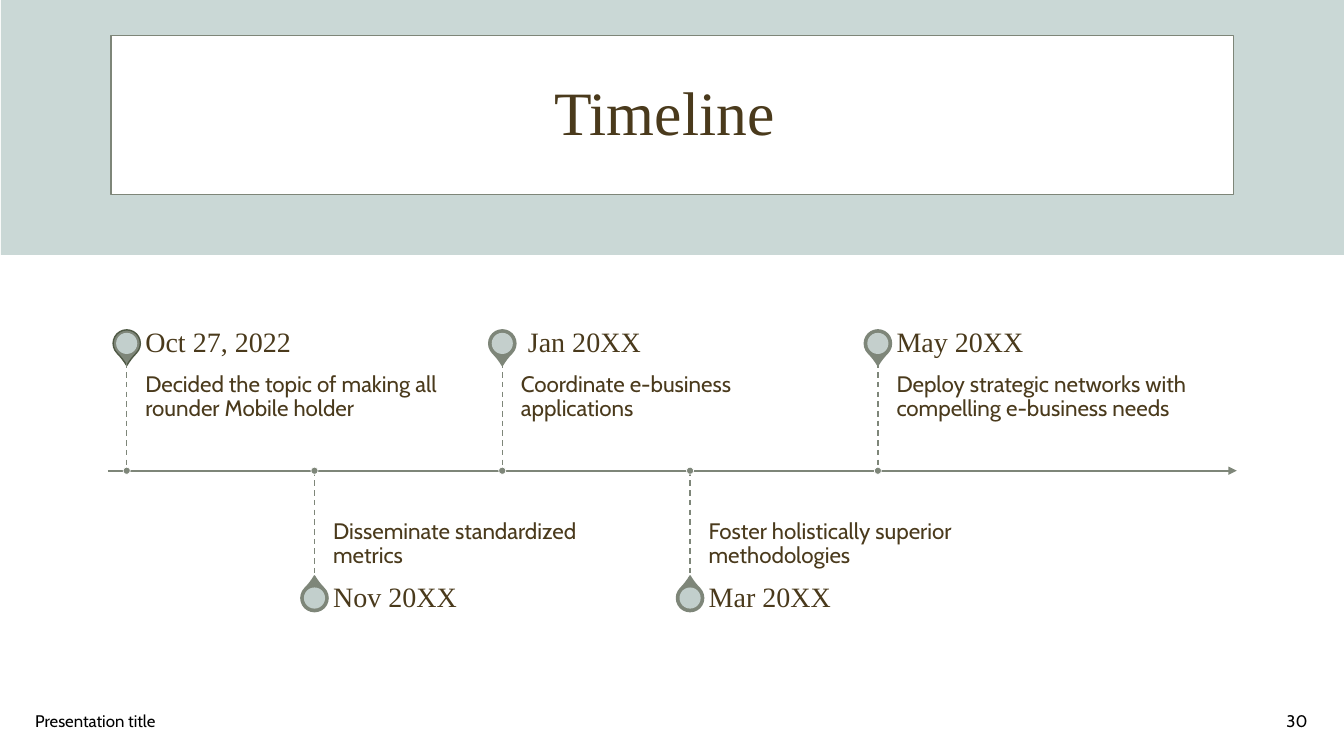
from dataclasses import dataclass

import lxml.etree
import pptx
import pptx.dml.color
import pptx.enum.dml
import pptx.enum.shapes
import pptx.enum.text
import pptx.oxml.ns
import pptx.util

SHAPE = pptx.enum.shapes.MSO_SHAPE
ANCHOR = pptx.enum.text.MSO_ANCHOR
ALIGN = pptx.enum.text.PP_ALIGN


@dataclass(frozen=True)
class Theme:
    band: str = "CAD8D6"
    paper: str = "FFFFFF"
    sage: str = "7E8679"
    dark_sage: str = "4F5945"
    pale_sage: str = "CCD8D6"
    brown: str = "4A3A1C"
    black: str = "000000"
    serif: str = "Times New Roman"
    sans: str = "Cabin"
    title_size: int = 44
    date_size: int = 20
    detail_size: int = 16
    footer_size: int = 12


THEME = Theme()
ROWS = 75
COLUMNS = 133.33
CELL = pptx.util.Inches(7.5) / ROWS

AXIS_ROW = 46.7
AXIS_START, AXIS_END = 10.7, 122.7
FIRST_STEM, STEM_PITCH = 12.57, 18.63
STEM_LENGTH = 10.75
DATE_OFFSET = 12.63
TEXT_GAP, TEXT_WIDTH, DATE_HEIGHT = 1.85, 31, 3.8
PIN_SIZE, PIN_HOLE, MARKER_SIZE = 2.7, 2.1, 0.7

MILESTONES = [
    ("Oct 27, 2022", "Decided the topic of making all rounder Mobile holder", THEME.dark_sage, THEME.band),
    ("Nov 20XX", "Disseminate standardized metrics", THEME.sage, THEME.band),
    (" Jan 20XX", "Coordinate e-business applications", THEME.sage, THEME.pale_sage),
    ("Mar 20XX", "Foster holistically superior methodologies", THEME.sage, THEME.band),
    ("May 20XX", "Deploy strategic networks with compelling e-business needs", THEME.sage, THEME.pale_sage),
]


def cells(count):
    return pptx.util.Emu(round(count * CELL))


def rgb(value):
    return pptx.dml.color.RGBColor.from_string(value)


def add_xml(parent, tag, **attributes):
    return lxml.etree.SubElement(parent, pptx.oxml.ns.qn(tag), attributes)


def add_figure(shapes, preset, box, fill, outline=None, weight=1, opacity=100):
    figure = shapes.add_shape(preset, *map(cells, box))
    figure.shadow.inherit = False
    figure.fill.solid()
    figure.fill.fore_color.rgb = rgb(fill)
    if opacity < 100:
        color = figure.fill._xPr.find(".//" + pptx.oxml.ns.qn("a:srgbClr"))
        add_xml(color, "a:alpha", val=str(opacity * 1000))
    if outline:
        figure.line.color.rgb = rgb(outline)
        figure.line.width = pptx.util.Pt(weight)
    else:
        figure.line.fill.background()
    return figure


def add_centred(shapes, preset, center, size, fill, **style):
    x, y = center
    return add_figure(shapes, preset, (x - size / 2, y - size / 2, size, size), fill, **style)


def add_rule(shapes, start, end, weight, dashed=False, arrow=False):
    rule = shapes.add_connector(pptx.enum.shapes.MSO_CONNECTOR.STRAIGHT, *map(cells, start + end))
    rule.line.color.rgb = rgb(THEME.sage)
    rule.line.width = pptx.util.Pt(weight)
    if dashed:
        rule.line.dash_style = pptx.enum.dml.MSO_LINE.DASH
    if arrow:
        add_xml(rule.line._get_or_add_ln(), "a:tailEnd", type="triangle")
    add_xml(rule._element.spPr, "a:effectLst")


def add_text(shapes, box, text, font, size, color, anchor=ANCHOR.MIDDLE,
             align=ALIGN.LEFT, insets=(1, 0.5, 1, 0.5), spacing=0.9):
    frame = shapes.add_textbox(*map(cells, box)).text_frame
    frame.word_wrap = True
    frame.vertical_anchor = anchor
    frame.margin_left, frame.margin_top, frame.margin_right, frame.margin_bottom = map(cells, insets)
    paragraph = frame.paragraphs[0]
    paragraph.alignment = align
    paragraph.line_spacing = spacing
    run = paragraph.add_run()
    run.text = text
    run.font.name = font
    run.font.size = pptx.util.Pt(size)
    run.font.color.rgb = rgb(color)


def add_header(shapes):
    add_figure(shapes, SHAPE.RECTANGLE, (0.1, 0, COLUMNS - 0.1, 25.3), THEME.band)
    add_figure(shapes, SHAPE.RECTANGLE, (11, 3.5, 111.4, 15.8), THEME.paper, outline=THEME.sage)
    add_text(shapes, (4.2, 4.2, 125, 14.5), "Timeline ", THEME.serif, THEME.title_size,
             THEME.brown, align=ALIGN.CENTER)


def add_footer(shapes):
    for left, width, text, align in [(2.5, 45, "Presentation title", ALIGN.LEFT),
                                     (100.7, 30, "30", ALIGN.RIGHT)]:
        add_text(shapes, (left, 69.5, width, 4), text, THEME.sans, THEME.footer_size,
                 THEME.black, align=align, spacing=1)


def add_milestone(shapes, index, date, detail, pin_outline, hole_fill):
    above = index % 2 == 0
    side = -1 if above else 1
    stem = FIRST_STEM + index * STEM_PITCH
    date_row = AXIS_ROW + side * DATE_OFFSET
    stem_end = AXIS_ROW + side * STEM_LENGTH
    text_left = stem + TEXT_GAP

    pin = add_centred(shapes, SHAPE.TEAR, (stem, date_row), PIN_SIZE, THEME.sage, outline=pin_outline)
    pin.adjustments[0] = 1.15
    pin.rotation = 135 if above else 315
    add_centred(shapes, SHAPE.OVAL, (stem, date_row), PIN_HOLE, hole_fill, opacity=90)
    add_text(shapes, (text_left, min(AXIS_ROW, stem_end), TEXT_WIDTH, STEM_LENGTH), detail,
             THEME.sans, THEME.detail_size, THEME.brown,
             anchor=ANCHOR.TOP if above else ANCHOR.BOTTOM,
             insets=(0, 1.1, 1.1, 1.7) if above else (0, 1.7, 0, 1.1))
    add_text(shapes, (text_left, date_row - DATE_HEIGHT / 2, TEXT_WIDTH, DATE_HEIGHT), date,
             THEME.serif, THEME.date_size, THEME.brown, insets=(0, 0, 1.4, 0))
    add_rule(shapes, (stem, min(AXIS_ROW, stem_end)), (stem, max(AXIS_ROW, stem_end)), 1, dashed=True)
    add_centred(shapes, SHAPE.OVAL, (stem, AXIS_ROW), MARKER_SIZE, THEME.sage,
                outline=THEME.paper, weight=0.5)


def main():
    deck = pptx.Presentation()
    deck.slide_width = cells(COLUMNS)
    deck.slide_height = cells(ROWS)
    slide = deck.slides.add_slide(deck.slide_layouts[6])
    add_header(slide.shapes)
    add_footer(slide.shapes)
    add_rule(slide.shapes, (AXIS_START, AXIS_ROW), (AXIS_END, AXIS_ROW), 1.5, arrow=True)
    for index, milestone in enumerate(MILESTONES):
        add_milestone(slide.shapes.add_group_shape().shapes, index, *milestone)
    deck.save("out.pptx")


if __name__ == "__main__":
    main()
